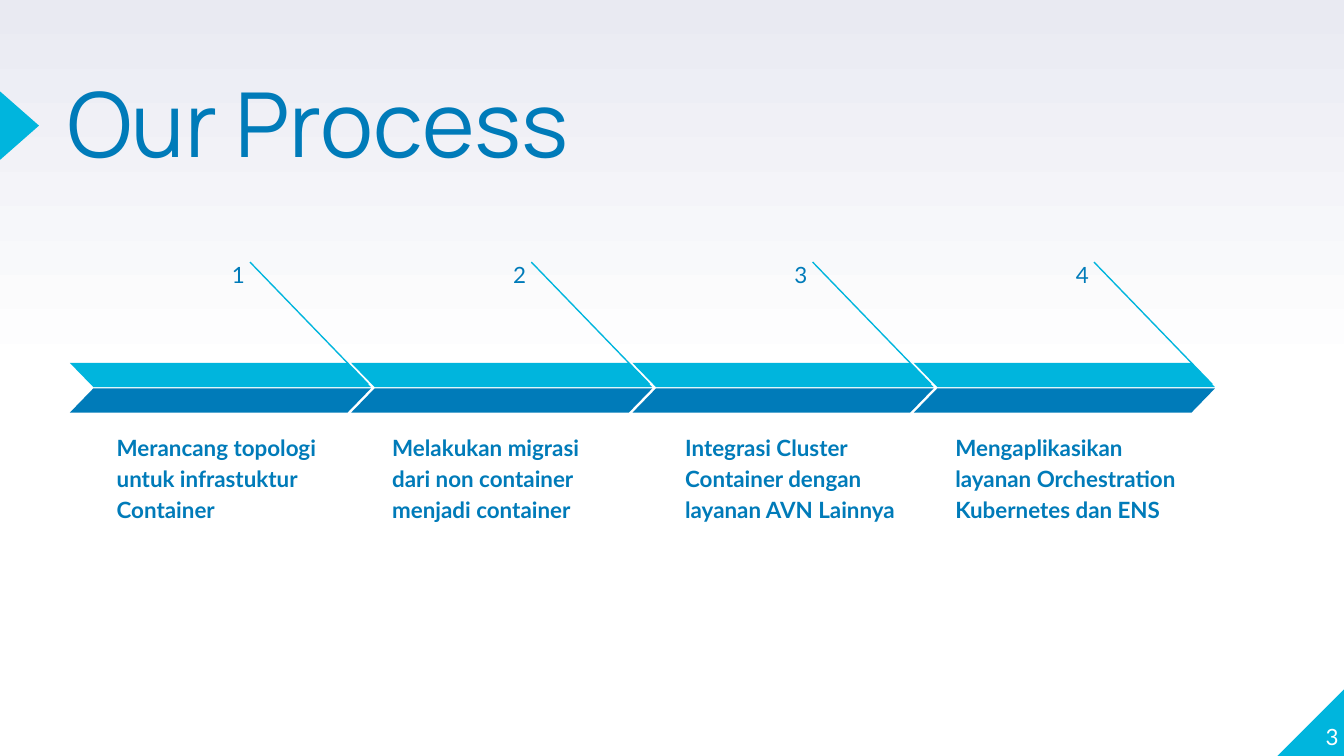
from dataclasses import dataclass

from lxml import etree
from pptx import Presentation
from pptx.dml.color import RGBColor
from pptx.enum.shapes import MSO_CONNECTOR, MSO_SHAPE
from pptx.enum.text import MSO_ANCHOR, PP_ALIGN
from pptx.oxml.ns import qn
from pptx.shapes.autoshape import Shape
from pptx.slide import Slide
from pptx.util import Inches, Pt

TRIANGLE = MSO_SHAPE.ISOSCELES_TRIANGLE
RIGHT_TRIANGLE = MSO_SHAPE.RIGHT_TRIANGLE
PARALLELOGRAM = MSO_SHAPE.PARALLELOGRAM
STRAIGHT = MSO_CONNECTOR.STRAIGHT
TOP, BOTTOM = MSO_ANCHOR.TOP, MSO_ANCHOR.BOTTOM
LEFT, RIGHT = PP_ALIGN.LEFT, PP_ALIGN.RIGHT

COLORS = {"cyan": "00B5DD", "blue": "007BB9", "white": "FFFFFF", "mist": "E9EAF2"}
SLIDE_WIDTH = Inches(10)
SLIDE_HEIGHT = SLIDE_WIDTH * 9 // 16
FIRST_LEFT, LAST_LEFT = 0.52, 6.8
BAR_WIDTH, BAR_HEIGHT, BAR_SLANT = 2.24, 0.18, 0.97


@dataclass(frozen=True)
class Box:
    left: float
    top: float
    width: float
    height: float


@dataclass(frozen=True)
class Step:
    number: str
    caption: str
    caption_left: float


STEPS = [
    Step("1", "Merancang topologi untuk infrastuktur Container", 0.77),
    Step("2", "Melakukan migrasi dari non container menjadi container", 2.82),
    Step("3", "Integrasi Cluster Container dengan layanan AVN Lainnya", 5.0),
    Step("4", "Mengaplikasikan layanan Orchestration Kubernetes dan ENS", 7.01),
]


def color(name: str) -> RGBColor:
    return RGBColor.from_string(COLORS[name])


def place(shape: Shape, box: Box) -> None:
    shape.left, shape.top = Inches(box.left), Inches(box.top)
    shape.width, shape.height = Inches(box.width), Inches(box.height)


def write(shape: Shape, text: str, size: int, fill: str = "blue", font: str = "Lato",
          bold: bool = False, align: PP_ALIGN = LEFT, anchor: MSO_ANCHOR = TOP,
          inset: float = 0.1, spacing: float = 1.15) -> None:
    frame = shape.text_frame
    frame.word_wrap = True
    frame.vertical_anchor = anchor
    frame.margin_left = frame.margin_right = Inches(inset)
    frame.margin_top = frame.margin_bottom = Inches(inset)
    paragraph = frame.paragraphs[0]
    paragraph.alignment = align
    paragraph.line_spacing = spacing
    run = paragraph.add_run()
    run.text = text
    run.font.name = font
    run.font.size = Pt(size)
    run.font.bold = bold
    run.font.color.rgb = color(fill)


def add_text_box(shapes, box: Box) -> Shape:
    shape = shapes.add_textbox(0, 0, 0, 0)
    place(shape, box)
    return shape


def add_filled(shapes, kind: MSO_SHAPE, box: Box, fill: str, flip: bool = False) -> Shape:
    shape = shapes.add_shape(kind, 0, 0, 0, 0)
    place(shape, box)
    shape.shadow.inherit = False
    shape.fill.solid()
    shape.fill.fore_color.rgb = color(fill)
    shape.line.fill.background()
    if flip:
        shape.element.spPr.find(qn("a:xfrm")).set("flipH", "1")
    return shape


def add_pointer(shapes, left: float) -> None:
    line = shapes.add_connector(STRAIGHT, Inches(left + 1.34), Inches(1.95),
                                Inches(left + 2.22), Inches(2.86))
    line.line.color.rgb = color("cyan")
    line.line.width = Pt(0.75)
    etree.SubElement(line.element.spPr, qn("a:effectLst"))


def add_step(slide: Slide, step: Step, left: float) -> None:
    shapes = slide.shapes.add_group_shape().shapes
    number = add_text_box(shapes, Box(left + 0.64, 1.81, 0.76, 0.29))
    write(number, step.number, 12, align=RIGHT)
    caption = add_text_box(shapes, Box(step.caption_left, 3.17, 1.84, 0.82))
    write(caption, step.caption, 12, bold=True, anchor=BOTTOM)
    add_pointer(shapes, left)
    for top, fill, flip in ((2.7, "cyan", True), (2.89, "blue", False)):
        bar = add_filled(shapes, PARALLELOGRAM, Box(left, top, BAR_WIDTH, BAR_HEIGHT), fill, flip)
        bar.adjustments[0] = BAR_SLANT


def set_background(slide: Slide) -> None:
    fill = slide.background.fill
    fill.gradient()
    fill.gradient_angle = 90
    for stop, position, name in zip(fill.gradient_stops, (0.5, 1.0), ("white", "mist")):
        stop.position = position
        stop.color.rgb = color(name)


def main() -> None:
    presentation = Presentation()
    presentation.slide_width, presentation.slide_height = SLIDE_WIDTH, SLIDE_HEIGHT
    slide = presentation.slides.add_slide(presentation.slide_layouts[5])
    set_background(slide)

    add_filled(slide.shapes, RIGHT_TRIANGLE, Box(9.5, 5.12, 0.51, 0.51), "cyan", flip=True)
    marker = add_filled(slide.shapes, TRIANGLE, Box(-0.11, 0.79, 0.51, 0.29), "cyan")
    marker.rotation = 90

    title = slide.shapes.title
    place(title, Box(0.5, 0.66, 6.17, 1.18))
    write(title, "Our Process", 48, font="Manrope", inset=0, spacing=0.8)
    page_number = add_text_box(slide.shapes, Box(9.46, 5.07, 0.5, 0.51))
    write(page_number, "3", 12, fill="white", align=RIGHT, anchor=BOTTOM, inset=0, spacing=1.0)

    pitch = (LAST_LEFT - FIRST_LEFT) / (len(STEPS) - 1)
    for index, step in enumerate(STEPS):
        add_step(slide, step, FIRST_LEFT + index * pitch)

    presentation.save("out.pptx")


if __name__ == "__main__":
    main()
